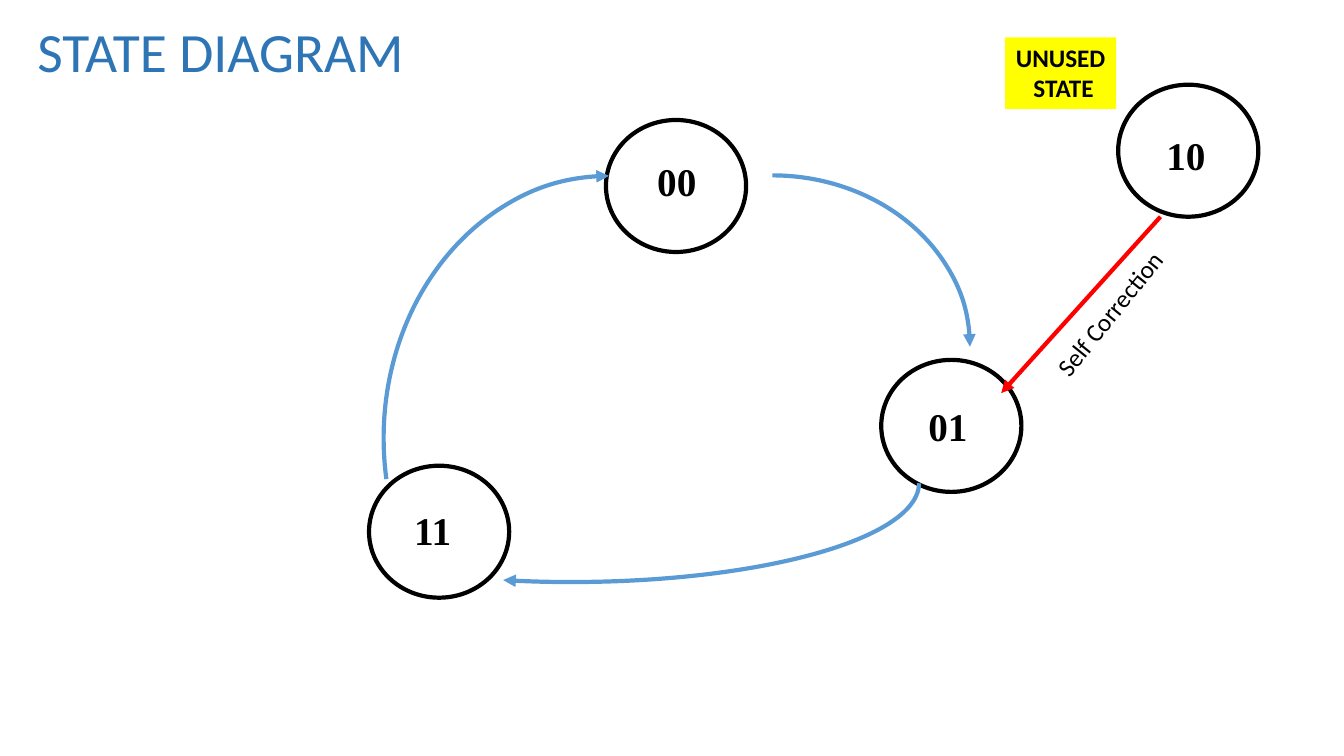
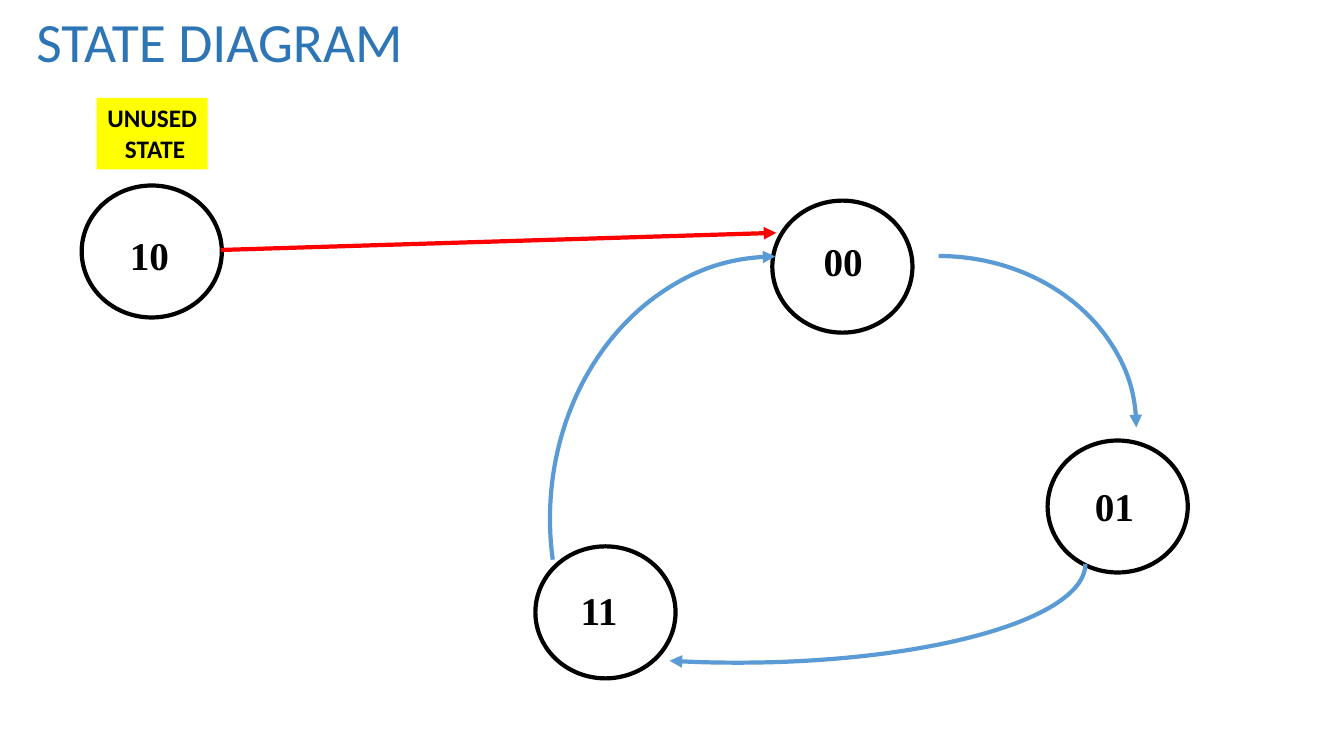
from typing import NamedTuple

from lxml import etree
from pptx import Presentation
from pptx.dml.color import RGBColor
from pptx.enum.shapes import MSO_CONNECTOR, MSO_SHAPE
from pptx.enum.text import MSO_ANCHOR, MSO_AUTO_SIZE, PP_ALIGN
from pptx.oxml.ns import qn
from pptx.util import Emu, Pt

ELLIPSE, ARC = MSO_SHAPE.OVAL, MSO_SHAPE.ARC
STRAIGHT = MSO_CONNECTOR.STRAIGHT
TOP, NO_AUTOFIT = MSO_ANCHOR.TOP, MSO_AUTO_SIZE.NONE
LEFT, CENTER = PP_ALIGN.LEFT, PP_ALIGN.CENTER

EMU_PER_PX = 9144  # 100 px to the inch
COLORS = {
    "title": "2E75B5",
    "ink": "000000",
    "transition": "5B9BD5",
    "correction": "FF0000",
    "badge": "FFFF00",
}
BODY_FONT, STATE_FONT = "Calibri", "Times New Roman"
LINE_WIDTH = Pt(3)
STATE_WIDTH, STATE_HEIGHT = 139, 131


class Point(NamedTuple):
    x: int
    y: int


class Box(NamedTuple):
    x: int
    y: int
    width: int
    height: int


class State(NamedTuple):
    code: str
    corner: Point
    label_offset: Point


class Transition(NamedTuple):
    """A curved arrow; the angles are arc adjustments in 100000ths."""
    box: Box
    rotation: int
    start_angle: float
    end_angle: float


class Diagram(NamedTuple):
    title_corner: Point
    cycle_shift: Point
    unused_corner: Point
    badge_corner: Point
    correction_start: Point
    correction_end: Point
    correction_label: Box | None


CYCLE_STATES = [
    State("01", Point(874, 357), Point(37, 37)),
    State("00", Point(601, 119), Point(41, 32)),
    State("11", Point(366, 462), Point(35, 35)),
]
CYCLE_TRANSITIONS = [
    Transition(Box(570, 174, 392, 340), 0, 162, 0),
    Transition(Box(469, 135, 196, 689), 90, 162, 21.16),
    Transition(Box(344, 211, 520, 447), 270, 155.72, 0),
]
DIAGRAMS = [
    Diagram(Point(27, 22), Point(0, 0), Point(1109, 84), Point(997, 37),
            Point(1151, 215), Point(993, 390), Box(1015, 290, 172, 40)),
    Diagram(Point(26, 12), Point(165, 80), Point(81, 184), Point(96, 97),
            Point(219, 248), Point(770, 231), None),
]


def px(length: int) -> Emu:
    return Emu(length * EMU_PER_PX)


def rgb(name: str) -> RGBColor:
    return RGBColor.from_string(COLORS[name])


def shifted(point: Point, shift: Point) -> Point:
    return Point(point.x + shift.x, point.y + shift.y)


def add_run(paragraph, text: str, size: float, font: str = BODY_FONT,
            color: str = "ink", bold: bool = False) -> None:
    run = paragraph.add_run()
    run.text = text
    run.font.size = Pt(size)
    run.font.name = font
    run.font.bold = bold
    run.font.color.rgb = rgb(color)


def add_label_box(slide, box: Box, wrap: bool = True):
    label = slide.shapes.add_textbox(*map(px, box))
    label.text_frame.word_wrap = wrap
    return label


def style_line(shape, color: str) -> None:
    shape.line.color.rgb = rgb(color)
    shape.line.width = LINE_WIDTH


def add_arrowhead(shape) -> None:
    line = shape.element.spPr.find(qn("a:ln"))
    etree.SubElement(line, qn("a:tailEnd"), type="triangle")


def add_outline(slide, kind, box: Box, color: str):
    """Add an unfilled, shadowless preset shape."""
    outline = slide.shapes.add_shape(kind, *map(px, box))
    outline.fill.background()
    style_line(outline, color)
    outline.shadow.inherit = False
    return outline


def add_title(slide, corner: Point) -> None:
    title = slide.shapes.title
    title.left, title.top, title.width, title.height = map(
        px, Box(*corner, 1150, 125))
    frame = title.text_frame
    frame.auto_size = NO_AUTOFIT
    frame.vertical_anchor = TOP
    frame.margin_top = px(2)
    paragraph = frame.paragraphs[0]
    paragraph.alignment = LEFT
    paragraph.line_spacing = 0.9
    add_run(paragraph, "STATE DIAGRAM", 39.6, color="title")


def add_state(slide, state: State, shift: Point = Point(0, 0)) -> None:
    corner = shifted(state.corner, shift)
    add_outline(slide, ELLIPSE, Box(*corner, STATE_WIDTH, STATE_HEIGHT), "ink")
    label_corner = shifted(corner, state.label_offset)
    label = add_label_box(slide, Box(*label_corner, 74, 57))
    add_run(label.text_frame.paragraphs[0], state.code, 28, STATE_FONT, bold=True)


def add_transition(slide, transition: Transition, shift: Point) -> None:
    x, y, width, height = transition.box
    corner = shifted(Point(x, y), shift)
    arc = add_outline(slide, ARC, Box(*corner, width, height), "transition")
    arc.rotation = transition.rotation
    arc.adjustments[0] = transition.start_angle
    arc.adjustments[1] = transition.end_angle
    add_arrowhead(arc)


def add_correction(slide, diagram: Diagram) -> None:
    """Add the arrow from the unused state back into the cycle."""
    arrow = slide.shapes.add_connector(
        STRAIGHT, *map(px, diagram.correction_start + diagram.correction_end))
    style_line(arrow, "correction")
    add_arrowhead(arrow)
    etree.SubElement(arrow.element.spPr, qn("a:effectLst"))
    if diagram.correction_label:
        label = add_label_box(slide, diagram.correction_label)
        label.rotation = 309
        add_run(label.text_frame.paragraphs[0], "Self Correction", 18)


def add_unused_badge(slide, corner: Point) -> None:
    badge = add_label_box(slide, Box(*corner, 110, 71), wrap=False)
    badge.fill.solid()
    badge.fill.fore_color.rgb = rgb("badge")
    frame = badge.text_frame
    for paragraph, word in ((frame.paragraphs[0], "UNUSED"),
                            (frame.add_paragraph(), " STATE")):
        paragraph.alignment = CENTER
        add_run(paragraph, word, 18, bold=True)


def add_diagram_slide(prs, diagram: Diagram) -> None:
    slide = prs.slides.add_slide(prs.slide_layouts.get_by_name("Title Only"))
    add_title(slide, diagram.title_corner)
    for state in CYCLE_STATES:
        add_state(slide, state, diagram.cycle_shift)
    add_state(slide, State("10", diagram.unused_corner, Point(38, 41)))
    for transition in CYCLE_TRANSITIONS:
        add_transition(slide, transition, diagram.cycle_shift)
    add_correction(slide, diagram)
    add_unused_badge(slide, diagram.badge_corner)


def main() -> None:
    prs = Presentation()
    prs.slide_width, prs.slide_height = px(1333), px(750)
    for diagram in DIAGRAMS:
        add_diagram_slide(prs, diagram)
    prs.save("out.pptx")


if __name__ == "__main__":
    main()
